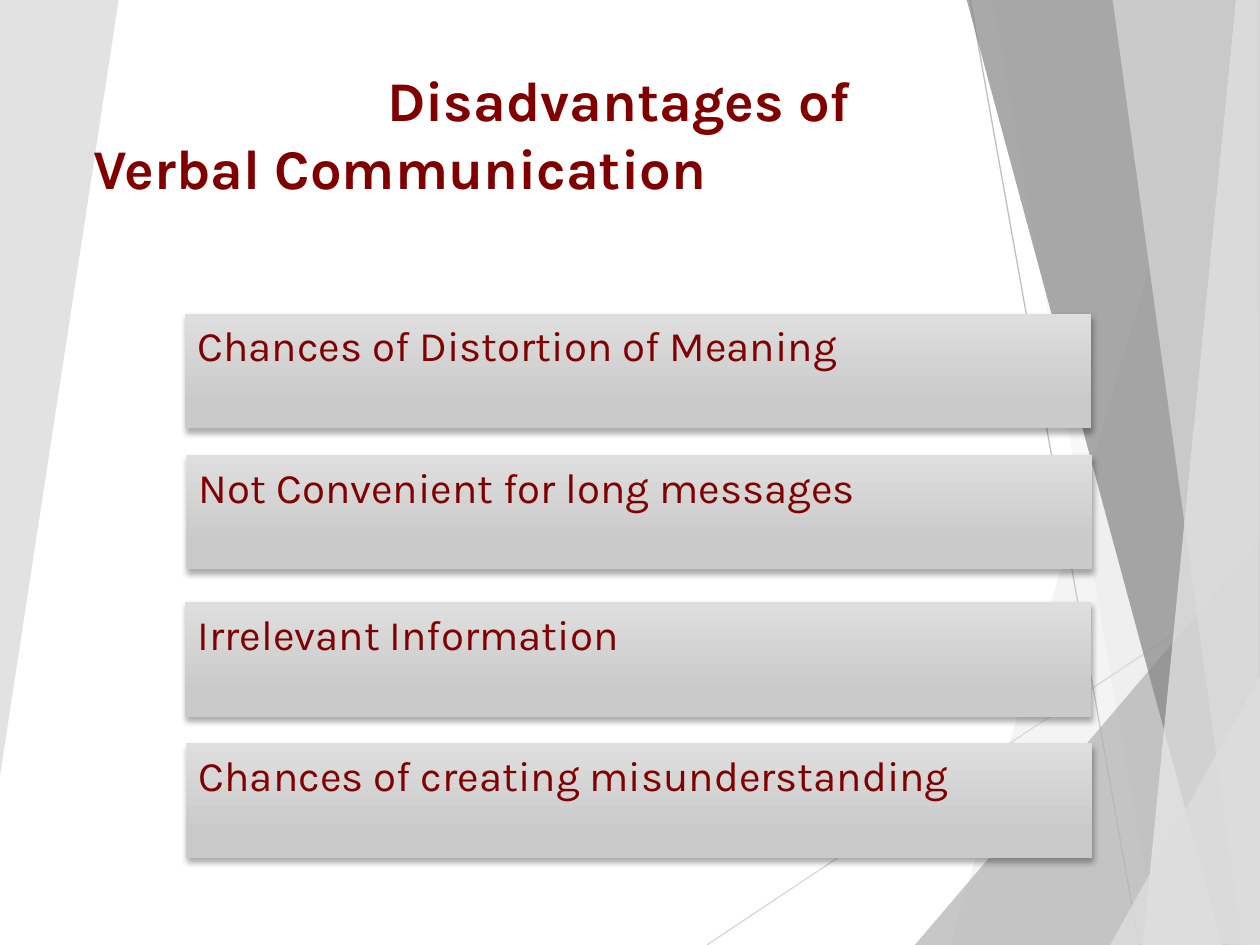
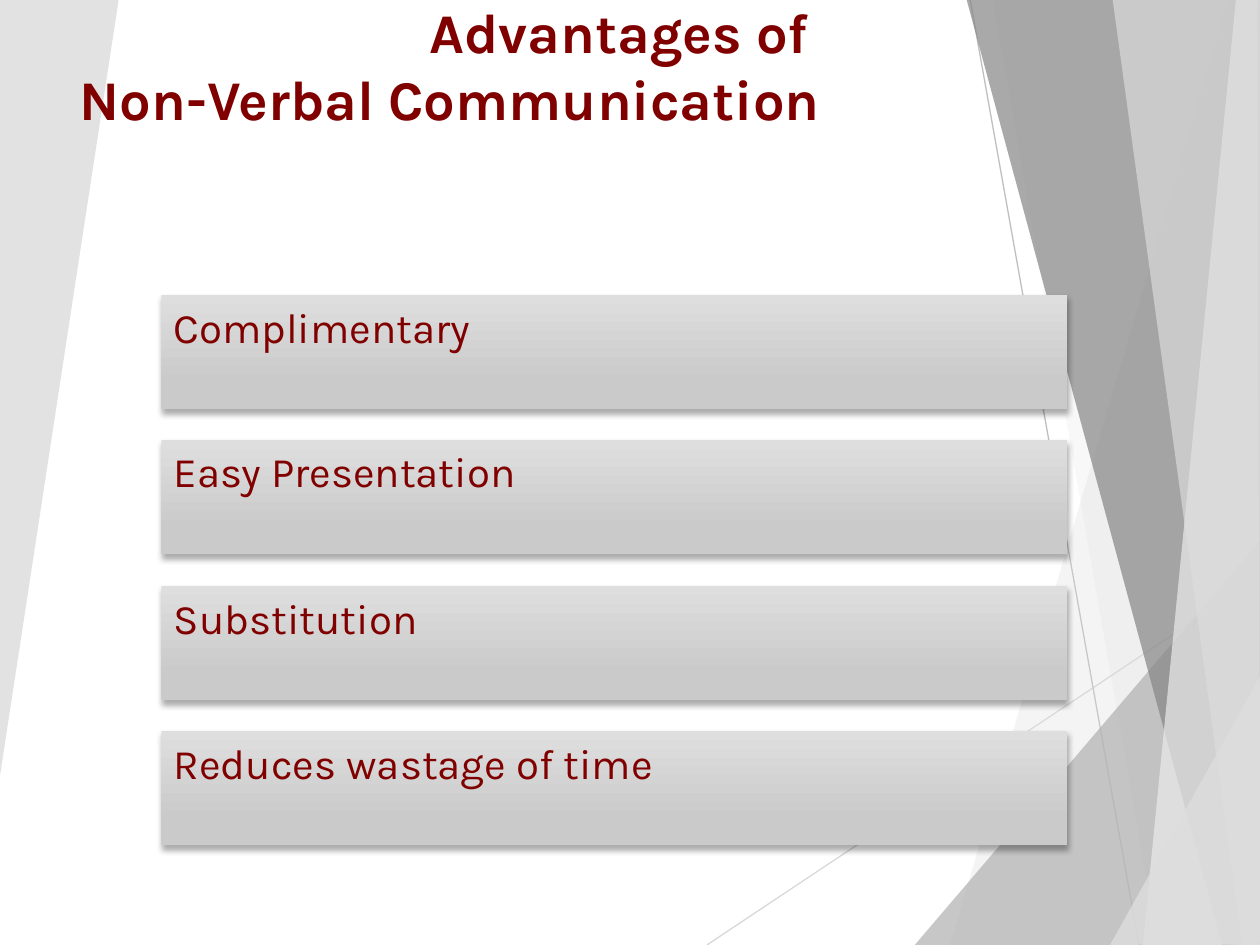
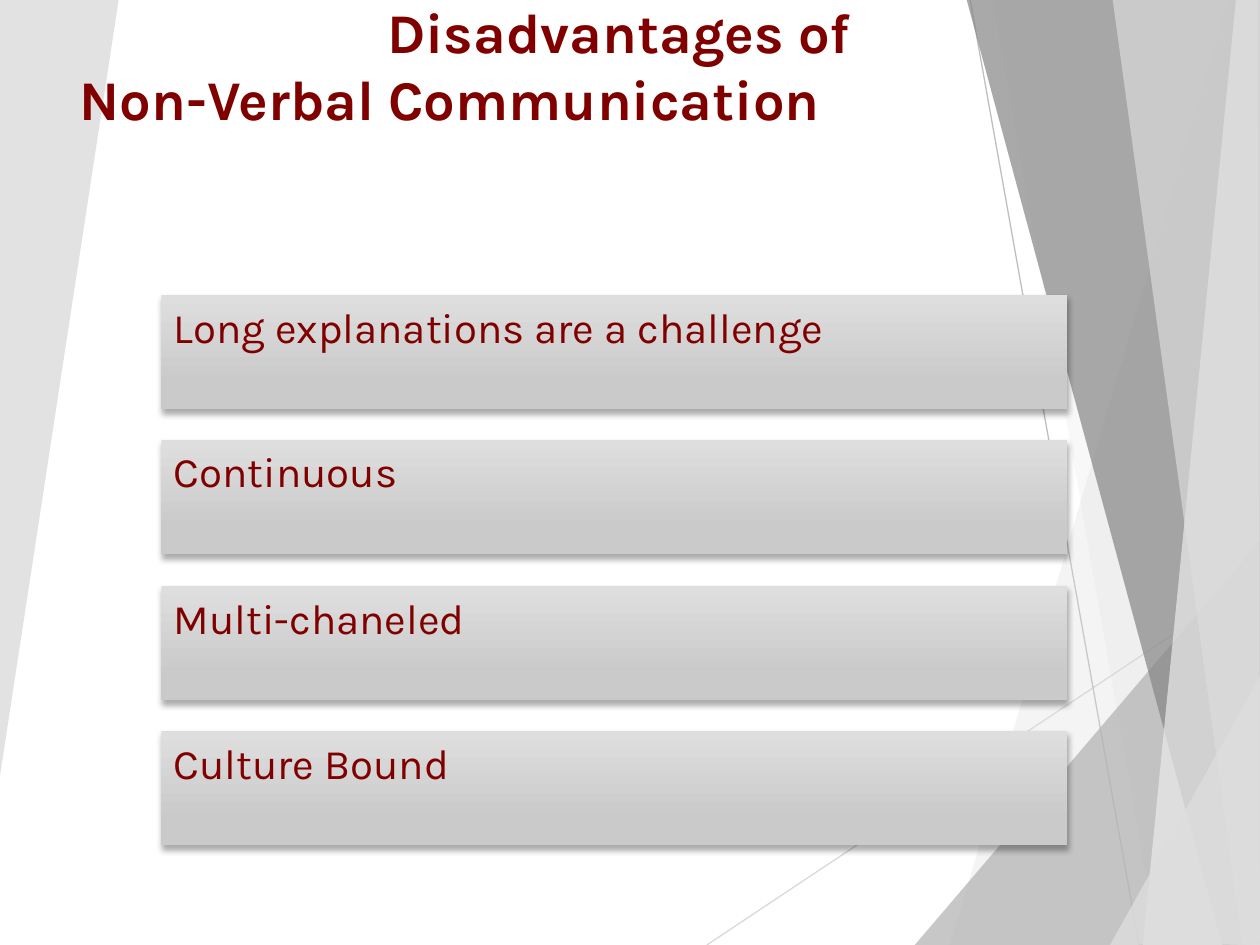
"""Build three slides on the merits and limits of verbal and non-verbal communication."""
from dataclasses import dataclass

from lxml.etree import SubElement
from pptx import Presentation
from pptx.dml.color import RGBColor
from pptx.enum.shapes import MSO_CONNECTOR, MSO_SHAPE
from pptx.enum.text import MSO_ANCHOR, MSO_AUTO_SIZE, PP_ALIGN
from pptx.oxml.ns import qn
from pptx.util import Inches, Pt

Point = tuple[float, float]


@dataclass(frozen=True)
class Theme:
    """Colours, fonts and sizes shared by all slides."""
    font: str = "Karla"
    ink: str = "800000"
    bar_top: str = "DEDEDE"
    bar_bottom: str = "CACACA"
    shadow: str = "000000"
    title_size: float = 32
    bar_size: float = 24
    bar_width: float = 7.19
    bar_height: float = 0.91


@dataclass(frozen=True)
class Ray:
    """A thin line of the backdrop."""
    start: Point
    end: Point
    color: str


@dataclass(frozen=True)
class Facet:
    """A translucent polygon of the backdrop; opacity in percent."""
    color: str
    opacity: int
    points: tuple[Point, ...]


@dataclass(frozen=True)
class Topic:
    """The content of one slide, with the top left corner of each bar."""
    heading: tuple[str, str]
    indent: float
    title_bottom: float
    corners: tuple[Point, ...]
    items: tuple[str, ...]


THEME = Theme()
RAYS = (
    Ray((5.61, 7.5), (10.01, 4.57), "D9D9D9"),
    Ray((7.7, 0), (9.04, 7.5), "BFBFBF"),
)
FACETS = (
    Facet("DDDDDD", 30, ((9.75, 0), (7.54, 7.5), (10.02, 7.51), (10.01, 0.01))),
    Facet("DDDDDD", 20, ((7.88, -0.01), (9.19, 7.5), (10.01, 7.5), (10.01, -0.01))),
    Facet("B2B2B2", 72, ((7.26, 7.5), (10, 4.29), (10.01, 7.5))),
    Facet("858585", 70, ((7.67, -0.01), (9.7, 7.5), (10.01, 7.49), (10.01, -0.01))),
    Facet("EBEBEB", 70, ((9.81, -0.01), (9.07, 7.5), (10.01, 7.5), (10, -0.01))),
    Facet("DDDDDD", 65, ((8.83, -0.01), (9.86, 7.5), (10, 7.5), (9.98, -0.01))),
    Facet("DDDDDD", 80, ((8.81, 7.5), (10.01, 5.35), (10.01, 7.49))),
    Facet("DDDDDD", 85, ((-0.01, 0), (0.94, -0.01), (0.94, 0.01), (-0.01, 6.22))),
)
STAGGERED = ((1.47, 2.49), (1.48, 3.61), (1.47, 4.78), (1.48, 5.9))
STACKED = tuple((1.28, round(2.34 + 1.153 * row, 2)) for row in range(4))
TOPICS = (
    Topic(("Disadvantages of ", "Verbal Communication"), 0.17, 0.05, STAGGERED,
          ("Chances of Distortion of Meaning", "Not Convenient for long messages",
           "Irrelevant Information", "Chances of creating misunderstanding")),
    Topic(("Advantages of ", "Non-Verbal Communication"), 0.06, 0.59, STACKED,
          ("Complimentary", "Easy Presentation", "Substitution",
           "Reduces wastage of time")),
    Topic(("Disadvantages of ", "Non-Verbal Communication"), 0.06, 0.59, STACKED,
          ("Long explanations are a challenge", "Continuous", "Multi-chaneled",
           "Culture Bound")),
)


def rgb(color: str) -> RGBColor:
    """Turn a hex string into a colour."""
    return RGBColor.from_string(color)


def add_ray(page, ray: Ray):
    """Draw a backdrop line without shadow."""
    ends = [Inches(value) for value in ray.start + ray.end]
    line = page.shapes.add_connector(MSO_CONNECTOR.STRAIGHT, *ends)
    line.line.color.rgb = rgb(ray.color)
    line.line.width = Pt(0.75)
    SubElement(line.element.spPr, qn("a:effectLst"))
    return line


def add_facet(page, facet: Facet):
    """Draw a translucent backdrop polygon."""
    points = [(round(x * 100), round(y * 100)) for x, y in facet.points]
    builder = page.shapes.build_freeform(*points[0], scale=Inches(0.01))
    builder.add_line_segments(points[1:], close=True)
    shape = builder.convert_to_shape()
    shape.shadow.inherit = False
    shape.line.fill.background()
    shape.fill.solid()
    shape.fill.fore_color.rgb = rgb(facet.color)
    color = shape.element.spPr.find(f"{qn('a:solidFill')}/{qn('a:srgbClr')}")
    SubElement(color, qn("a:alpha"), val=str(facet.opacity * 1000))
    return shape


def move_to_layout(layout, shapes: list) -> None:
    """Put shapes behind everything else on the layout, in the given order."""
    for index, shape in enumerate(shapes, start=2):
        layout.shapes.element.insert(index, shape.element)


def style_font(para, size: float, bold: bool = False) -> None:
    """Apply the theme's face and ink to a paragraph."""
    para.font.name = THEME.font
    para.font.size = Pt(size)
    para.font.bold = bold
    para.font.color.rgb = rgb(THEME.ink)


def set_title(page, topic: Topic) -> None:
    """Fill the title: a centred line above an indented one."""
    title = page.shapes.title
    title.left, title.top = Inches(0.47), Inches(0.78)
    title.width, title.height = Inches(9), Inches(0.86)
    frame = title.text_frame
    frame.text = "\n".join(topic.heading)
    frame.auto_size = MSO_AUTO_SIZE.NONE
    frame.vertical_anchor = MSO_ANCHOR.BOTTOM
    frame.margin_bottom = Inches(topic.title_bottom)
    first, second = frame.paragraphs
    for para in (first, second):
        style_font(para, THEME.title_size, bold=True)
    first.alignment = PP_ALIGN.CENTER
    second.alignment = PP_ALIGN.LEFT
    second._p.get_or_add_pPr().set("marL", str(Inches(topic.indent)))


def add_shadow(shape) -> None:
    """Give a shape a soft shadow straight below it."""
    shape.shadow.inherit = False
    effects = shape.element.spPr.find(qn("a:effectLst"))
    outer = SubElement(effects, qn("a:outerShdw"), blurRad=str(Pt(3.5)),
                       dist=str(Pt(2.2)), dir="5400000", algn="ctr")
    color = SubElement(outer, qn("a:srgbClr"), val=THEME.shadow)
    SubElement(color, qn("a:alpha"), val="32000")


def add_bar(page, corner: Point, text: str) -> None:
    """Draw a shaded bar holding one statement."""
    left, top = corner
    bar = page.shapes.add_shape(MSO_SHAPE.RECTANGLE, Inches(left), Inches(top),
                                Inches(THEME.bar_width), Inches(THEME.bar_height))
    bar.line.fill.background()
    bar.fill.gradient()
    bar.fill.gradient_angle = 270
    stops = zip(bar.fill.gradient_stops, (0, 0.78), (THEME.bar_top, THEME.bar_bottom))
    for stop, position, color in stops:
        stop.position = position
        stop.color.rgb = rgb(color)
    add_shadow(bar)
    frame = bar.text_frame
    frame.word_wrap = True
    frame.vertical_anchor = MSO_ANCHOR.TOP
    frame.text = text
    para = frame.paragraphs[0]
    para.alignment = PP_ALIGN.LEFT
    style_font(para, THEME.bar_size)


def main() -> None:
    """Build and save the deck."""
    deck = Presentation()
    deck.slide_width, deck.slide_height = Inches(10), Inches(7.5)
    layout = deck.slide_layouts.get_by_name("Title Only")
    pages = [deck.slides.add_slide(layout) for _ in TOPICS]
    backdrop = [add_ray(pages[0], ray) for ray in RAYS]
    backdrop += [add_facet(pages[0], facet) for facet in FACETS]
    move_to_layout(layout, backdrop)
    for page, topic in zip(pages, TOPICS):
        set_title(page, topic)
        for corner, item in zip(topic.corners, topic.items):
            add_bar(page, corner, item)
    deck.save("out.pptx")


main()
